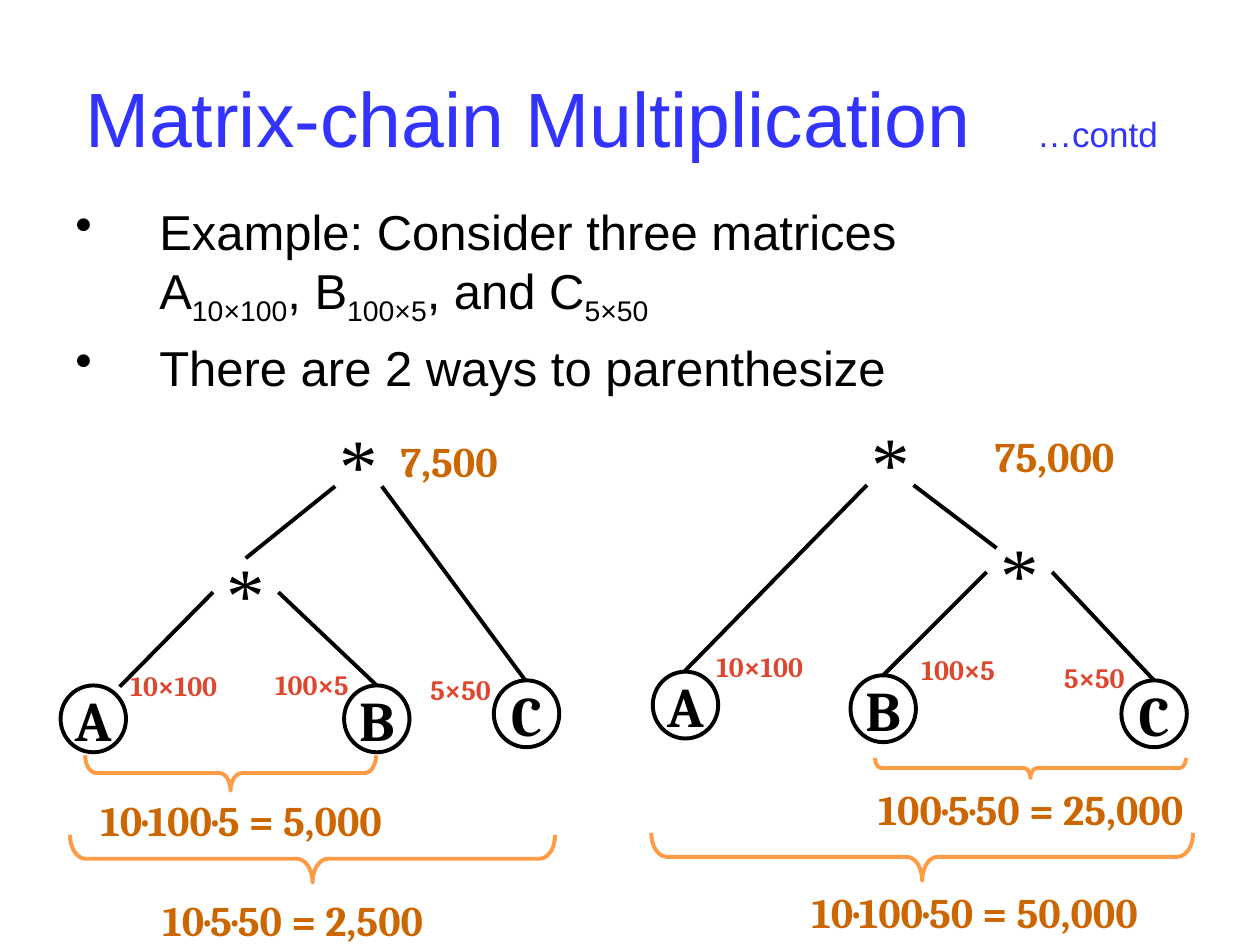
from lxml import etree
from pptx import Presentation
from pptx.dml.color import RGBColor
from pptx.enum.shapes import MSO_CONNECTOR, MSO_SHAPE
from pptx.enum.text import MSO_ANCHOR, PP_ALIGN
from pptx.oxml.ns import qn
from pptx.util import Pt

BLUE = RGBColor(0x33, 0x33, 0xFF)
BLACK = RGBColor(0, 0, 0)
BROWN = RGBColor(0xCC, 0x66, 0x00)
RED = RGBColor(0xDD, 0x46, 0x2F)
ORANGE = RGBColor(0xFF, 0x9B, 0x45)
ELLIPSE, LEFT_BRACE = MSO_SHAPE.OVAL, MSO_SHAPE.LEFT_BRACE
STRAIGHT = MSO_CONNECTOR.STRAIGHT
CENTER, MIDDLE = PP_ALIGN.CENTER, MSO_ANCHOR.MIDDLE

LINE_WIDTH = Pt(2.25)
NODE_WIDTH, NODE_HEIGHT = 37.4, 38.2
BULLET_INDENT = 48

# Trees: positions are (left, top), edges run from child to parent
OPERATORS = [(121.7, 319), (186.5, 245.5), (563.8, 307.4), (490.3, 244.1)]
MATRICES = [
    ("A", 34.6, 391.7), ("B", 196.6, 391.7), ("C", 282.2, 388.8),
    ("A", 373, 383.8), ("B", 486, 385.9), ("C", 640.8, 388.8),
]
EDGES = [
    (68.4, 392.4, 121.7, 338.4), (215.3, 391.7, 159.1, 338.4),
    (140.4, 319, 191.5, 277.9), (300.2, 388.8, 218.2, 277.9),
    (504.7, 385.9, 563.8, 326.9), (659.5, 388.8, 601.2, 326.9),
    (569.5, 313.2, 522, 277.2), (391, 383.8, 495.4, 277.2),
]
# Labels: text, left, top, width
COSTS = [
    ("10·100·5 = 5,000", 23, 450.7, 229.7),
    ("10·5·50 = 2,500", 78.5, 507.6, 177.8),
    ("7,500", 215.3, 245.5, 82.8),
    ("100·5·50 = 25,000", 479.5, 444.2, 218.9),
    ("10·100·50 = 50,000", 434.2, 503.3, 245.5),
    ("75,000", 532.8, 242.6, 139.7),
]
DIMENSIONS = [
    ("10×100", 62.6, 378.7, 73.4), ("100×5", 148.3, 378, 59.8),
    ("5×50", 234, 380.9, 58.3), ("10×100", 397.4, 367.9, 73.4),
    ("100×5", 517.7, 369.4, 59.8), ("5×50", 596.2, 373.7, 58.3),
]
# Braces as seen: left, top, width, depth
BRACES = [
    (40, 477, 277.2, 27.4), (48.6, 431.6, 166.3, 20.2),
    (372.2, 475.9, 309.6, 27.4), (500, 433.1, 177.8, 11.5),
]


def style_run(run, size, name, color, bold=False):
    run.font.size = Pt(size)
    run.font.name = name
    run.font.color.rgb = color
    run.font.bold = bold


def add_text_box(slide, left, top, width, height):
    box = slide.shapes.add_textbox(Pt(left), Pt(top), Pt(width), Pt(height))
    box.text_frame.word_wrap = True
    return box.text_frame


def add_title(slide):
    frame = add_text_box(slide, 36, 21.6, 648, 90)
    frame.vertical_anchor = MIDDLE
    frame.margin_left = Pt(12.6)
    paragraph = frame.paragraphs[0]
    properties = paragraph._p.get_or_add_pPr()
    tabs = etree.SubElement(properties, qn("a:tabLst"))
    etree.SubElement(tabs, qn("a:tab"), pos=str(Pt(544)), algn="l")
    for text, size in (("Matrix-chain Multiplication", 44), ("\t…contd", 20)):
        run = paragraph.add_run()
        run.text = text
        style_run(run, size, "Arial", BLUE)


def add_bullet(paragraph, text):
    """Fill a bullet paragraph; parts between underscores are subscripts."""
    properties = paragraph._p.get_or_add_pPr()
    properties.set("marL", str(Pt(BULLET_INDENT)))
    properties.set("indent", str(-Pt(BULLET_INDENT)))
    etree.SubElement(properties, qn("a:buChar"), char="•")
    for line_number, line in enumerate(text.split("\n")):
        if line_number:
            paragraph.add_line_break()
        for index, part in enumerate(line.split("_")):
            if not part:
                continue
            run = paragraph.add_run()
            run.text = part
            style_run(run, 28, "Arial", BLACK)
            if index % 2:
                run.font._element.set("baseline", "-25000")


def add_body(slide):
    frame = add_text_box(slide, 36, 111.6, 648, 119)
    add_bullet(
        frame.paragraphs[0],
        "Example: Consider three matrices\nA_10×100_, B_100×5_, and C_5×50_",
    )
    paragraph = frame.add_paragraph()
    add_bullet(paragraph, "There are 2 ways to parenthesize")
    paragraph.space_before = Pt(6)


def add_node(slide, text, left, top, size, name, outlined):
    shape = slide.shapes.add_shape(
        ELLIPSE, Pt(left), Pt(top), Pt(NODE_WIDTH), Pt(NODE_HEIGHT))
    shape.shadow.inherit = False
    shape.fill.background()
    if outlined:
        shape.line.color.rgb = BLACK
        shape.line.width = LINE_WIDTH
    else:
        shape.line.fill.background()
    frame = shape.text_frame
    frame.text = text
    frame.word_wrap = False
    frame.vertical_anchor = MIDDLE
    frame.margin_left = frame.margin_right = Pt(0)
    frame.margin_top = frame.margin_bottom = Pt(0)
    frame.paragraphs[0].alignment = CENTER
    style_run(frame.paragraphs[0].runs[0], size, name, BLACK, outlined)


def add_edge(slide, *ends):
    edge = slide.shapes.add_connector(STRAIGHT, *(Pt(end) for end in ends))
    edge.line.color.rgb = BLACK
    edge.line.width = LINE_WIDTH
    etree.SubElement(edge._element.spPr, qn("a:effectLst"))


def add_label(slide, text, left, top, width, height, size, color):
    frame = add_text_box(slide, left, top, width, height)
    frame.text = text
    frame.paragraphs[0].alignment = CENTER
    style_run(frame.paragraphs[0].runs[0], size, "Cambria", color, True)


def add_brace(slide, left, top, width, depth):
    # The frame is upright before it is turned about its centre
    offset = (width - depth) / 2
    brace = slide.shapes.add_shape(
        LEFT_BRACE, Pt(left + offset), Pt(top - offset), Pt(depth), Pt(width))
    brace.rotation = 270
    brace.adjustments[0] = 0.32
    brace.shadow.inherit = False
    brace.fill.background()
    brace.line.color.rgb = ORANGE
    brace.line.width = LINE_WIDTH


def main():
    presentation = Presentation()
    presentation.slide_width, presentation.slide_height = Pt(720), Pt(540)
    slide = presentation.slides.add_slide(presentation.slide_layouts[6])

    # Heading and bullets
    add_title(slide)
    add_body(slide)

    # Expression trees
    for left, top in OPERATORS:
        add_node(slide, "*", left, top, 44, "Times New Roman", False)
    for text, left, top in MATRICES:
        add_node(slide, text, left, top, 32, "Cambria", True)
    for edge in EDGES:
        add_edge(slide, *edge)

    # Braces, costs and dimensions
    for brace in BRACES:
        add_brace(slide, *brace)
    for cost in COSTS:
        add_label(slide, *cost, 36, 24, BROWN)
    for dimension in DIMENSIONS:
        add_label(slide, *dimension, 26.6, 16, RED)

    presentation.save("out.pptx")


if __name__ == "__main__":
    main()
